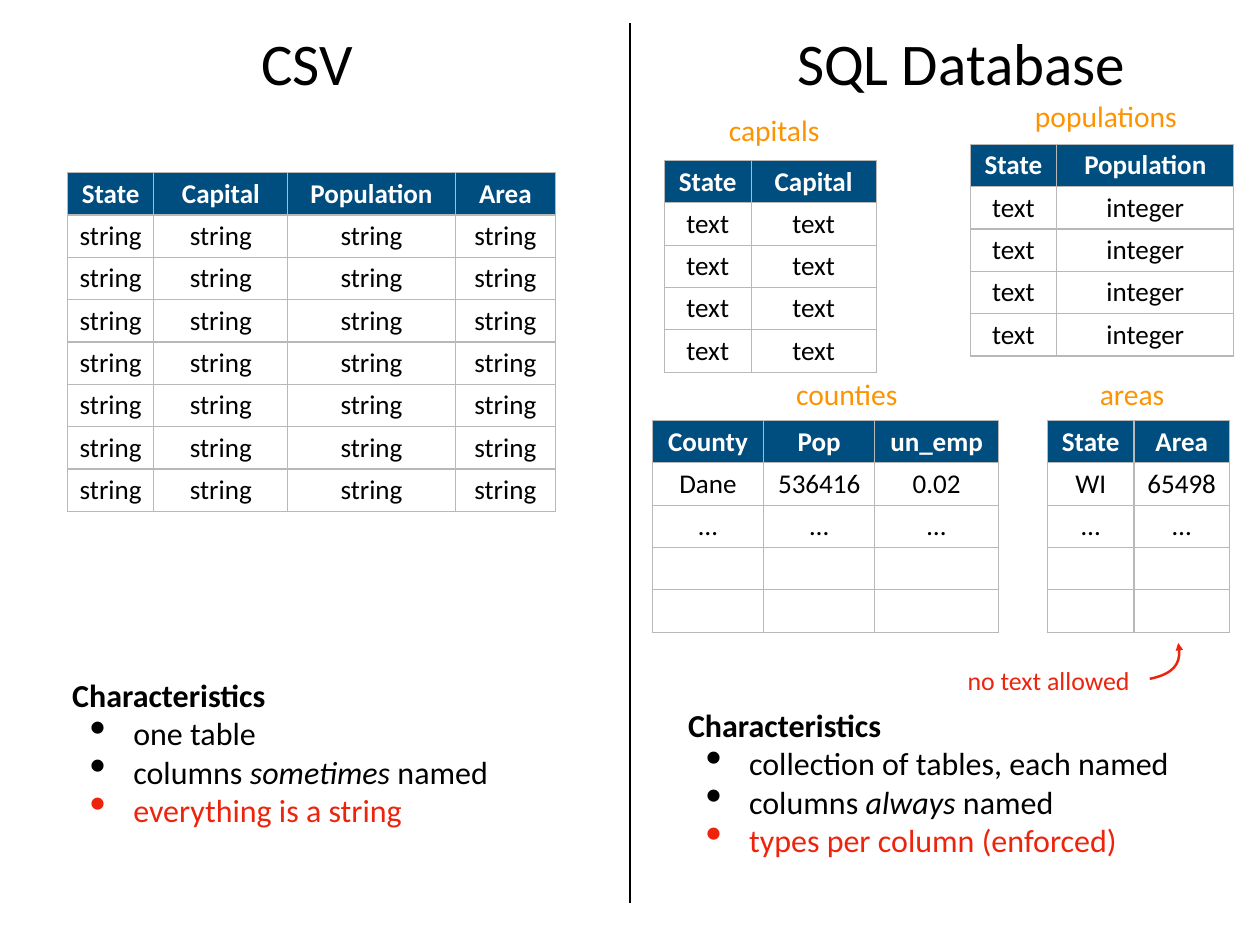
import pptx
import pptx.dml.color
import pptx.enum.text
import pptx.oxml
import pptx.oxml.ns
import pptx.util

RGBColor = pptx.dml.color.RGBColor
Align = pptx.enum.text.PP_ALIGN
Anchor = pptx.enum.text.MSO_ANCHOR

BLACK = RGBColor(0x00, 0x00, 0x00)
WHITE = RGBColor(0xFF, 0xFF, 0xFF)
NAVY = RGBColor(0x00, 0x4D, 0x80)
GREY = RGBColor(0xB8, 0xB8, 0xB8)
ORANGE = RGBColor(0xFE, 0x93, 0x01)
RED = RGBColor(0xEE, 0x23, 0x0C)

FONT = "Calibri"
INSET = pptx.util.Pt(4)
INSETS = {f"margin_{side}": INSET for side in ("left", "top", "right", "bottom")}
COLUMNS = 128
TABLE_ROW = 4.3


def set_all(target, values):
    for name, value in values.items():
        setattr(target, name, value)


def add_xml(parent, markup):
    """Append an element written in the a: namespace."""
    head, gap, rest = markup.partition(" ")
    if not gap:
        head, rest = markup[:-2], "/>"
    namespace = pptx.oxml.ns.nsdecls("a")
    parent.append(pptx.oxml.parse_xml(f"{head} {namespace} {rest}"))


class Page:
    """One slide, measured in columns and rows of a square grid."""

    def __init__(self, deck):
        self.unit = deck.slide_width / COLUMNS
        self.shapes = deck.slides.add_slide(deck.slide_layouts[6]).shapes

    def grid(self, *steps):
        return [round(step * self.unit) for step in steps]

    def add_span(self, para, text, size, color=BLACK, **style):
        span = para.add_run()
        span.text = text
        set_all(span.font, {"name": FONT, "size": pptx.util.Pt(size),
                            "bold": False, "italic": False, **style})
        span.font.color.rgb = color

    def frame(self, area, **values):
        frame = self.shapes.add_textbox(*self.grid(*area)).text_frame
        set_all(frame, {**INSETS, **values})
        return frame

    def label(self, text, area, size=24, color=ORANGE):
        frame = self.frame(area, word_wrap=False, vertical_anchor=Anchor.MIDDLE)
        para = frame.paragraphs[0]
        para.alignment = Align.CENTER
        self.add_span(para, text, size, color)

    def characteristics(self, area, points):
        """Bold heading and bullets; each bullet is (color, text, italic, text ...)."""
        frame = self.frame(area, word_wrap=True)
        self.add_span(frame.paragraphs[0], "Characteristics", 26, bold=True)
        for color, *parts in points:
            para = frame.add_paragraph()
            props = para._p.get_or_add_pPr()
            margin, indent = self.grid(6.2, -4.4)
            props.set("marL", str(margin))
            props.set("indent", str(indent))
            add_xml(props, '<a:buSzPct val="145000"/>')
            add_xml(props, '<a:buChar char="•"/>')
            for index, part in enumerate(parts):
                self.add_span(para, part, 26, color, italic=index % 2 == 1)

    def table(self, left, top, widths, rows):
        size = self.grid(left, top, sum(widths), TABLE_ROW * len(rows))
        table = self.shapes.add_table(len(rows), len(widths), *size).table
        table.horz_banding = False
        for column, width in zip(table.columns, self.grid(*widths)):
            column.width = width
        for index, texts in enumerate(rows):
            table.rows[index].height = self.grid(TABLE_ROW)[0]
            for cell, text in zip(table.rows[index].cells, texts):
                self.fill_cell(cell, text, header=index == 0)

    def fill_cell(self, cell, text, header):
        set_all(cell, {**INSETS, "vertical_anchor": Anchor.MIDDLE})
        props = cell._tc.get_or_add_tcPr()
        for side in "LRTB":
            add_xml(props, f'<a:ln{side} w="12700"><a:solidFill>'
                           f'<a:srgbClr val="{GREY}"/></a:solidFill></a:ln{side}>')
        cell.fill.solid()
        cell.fill.fore_color.rgb = NAVY if header else WHITE
        para = cell.text_frame.paragraphs[0]
        para.alignment = Align.CENTER
        if text:
            self.add_span(para, text, 22, WHITE if header else BLACK, bold=header)

    def stroke(self, shape, color):
        shape.line.color.rgb = color
        shape.line.width = pptx.util.Pt(2)

    def divider(self, *ends):
        line = self.shapes.add_connector(1, *self.grid(*ends))
        self.stroke(line, BLACK)
        add_xml(line._element.spPr, "<a:effectLst/>")

    def curved_arrow(self, start, *controls):
        """Draw one cubic curve with an arrowhead at its end."""
        builder = self.shapes.build_freeform(*self.grid(*start))
        builder.add_line_segments([self.grid(*spot) for spot in controls], close=False)
        curve = builder.convert_to_shape()
        curve.shadow.inherit = False
        curve.fill.background()
        self.stroke(curve, RED)
        add_xml(curve.line._get_or_add_ln(), '<a:tailEnd type="triangle"/>')
        outline = curve._element.xpath(".//a:path")[0]
        add_xml(outline, "<a:cubicBezTo/>")
        bezier = outline[-1]
        for segment in outline.xpath("./a:lnTo"):
            bezier.append(segment[0])
            outline.remove(segment)


def main():
    deck = pptx.Presentation()
    deck.slide_width = pptx.util.Inches(14.22)
    deck.slide_height = pptx.util.Inches(10.67)
    page = Page(deck)

    page.divider(COLUMNS / 2, 91.8, COLUMNS / 2, 2.34)
    page.label("CSV", (25.3, 2.34, 11.8, 7.9), 48, BLACK)
    page.label("SQL Database", (79.75, 2.34, 35.8, 7.9), 48, BLACK)

    page.table(6.84, 17.55, (8.8, 13.6, 17, 10.2),
               [("State", "Capital", "Population", "Area")] + [("string",) * 4] * 7)
    page.table(67.5, 16.3, (8.8, 12.7),
               [("State", "Capital")] + [("text", "text")] * 4)
    page.table(98.55, 14.67, (8.8, 18),
               [("State", "Population")] + [("text", "integer")] * 4)
    page.table(66.25, 42.75, (11.35, 11.25, 12.6),
               [("County", "Pop", "un_emp"), ("Dane", "536416", "0.02"),
                ("…",) * 3] + [("",) * 3] * 2)
    page.table(106.4, 42.75, (8.8, 9.7),
               [("State", "Area"), ("WI", "65498"), ("…",) * 2] + [("",) * 2] * 2)

    page.label("capitals", (73.25, 10.8, 10.8, 4.7))
    page.label("populations", (104.1, 9.45, 16.5, 4.7))
    page.label("counties", (79.9, 37.7, 12.25, 4.7))
    page.label("areas", (111, 37.7, 8, 4.7))
    page.label("no text allowed", (96.9, 67.05, 19.25, 4.25), 21, RED)
    page.curved_arrow((116.8, 69), (119.2, 68.5), (120.15, 67.2), (119.7, 65.35))

    page.characteristics((6.84, 68.15, 52.6, 22.3), [
        (BLACK, "one table"),
        (BLACK, "columns ", "sometimes", " named"),
        (RED, "everything is a string")])
    page.characteristics((69.4, 71.2, 56.5, 22.3), [
        (BLACK, "collection of tables, each named"),
        (BLACK, "columns ", "always", " named"),
        (RED, "types per column (enforced)")])

    deck.save("out.pptx")


if __name__ == "__main__":
    main()
